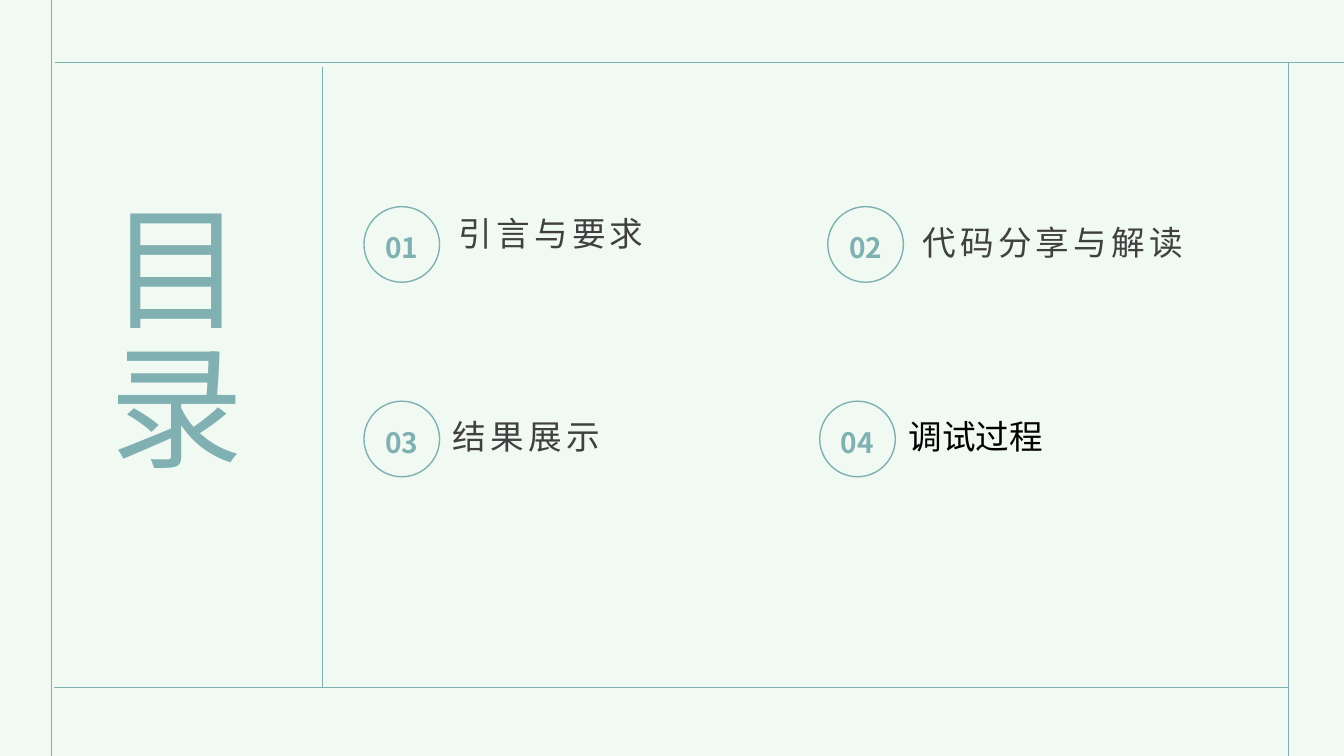
from lxml.etree import SubElement
from pptx import Presentation
from pptx.dml.color import RGBColor
from pptx.enum.shapes import MSO_CONNECTOR, MSO_SHAPE
from pptx.enum.text import MSO_ANCHOR, MSO_AUTO_SIZE, PP_ALIGN
from pptx.oxml.ns import qn
from pptx.util import Inches, Pt

MINT = RGBColor(0xF1, 0xF9, 0xF3)
TEAL = RGBColor(0x80, 0xB0, 0xB2)
GREY = RGBColor(0x40, 0x40, 0x40)
BLACK = RGBColor(0, 0, 0)
NOTO = "Noto Sans CJK SC"


def write(sp, text, size, color, font=NOTO, bold=False, align=PP_ALIGN.LEFT,
          leading=1.2, spacing=0):
    """Fill a shape with one middle-anchored run; spacing is in points."""
    tf = sp.text_frame
    tf.word_wrap = True
    tf.auto_size = MSO_AUTO_SIZE.NONE
    tf.vertical_anchor = MSO_ANCHOR.MIDDLE
    tf.margin_left = tf.margin_right = tf.margin_top = tf.margin_bottom = 0
    p = tf.paragraphs[0]
    p.alignment = align
    p.line_spacing = leading
    r = p.add_run()
    r.text = text
    r.font.size = Pt(size)
    r.font.bold = bold
    r.font.color.rgb = color
    r.font.name = font
    rPr = r.font._element
    rPr.set("spc", str(spacing * 100))
    SubElement(rPr, qn("a:ea")).set("typeface", font)


prs = Presentation()
prs.slide_width, prs.slide_height = Inches(13.33), Inches(7.5)
slide = prs.slides.add_slide(prs.slide_layouts[5])
slide.background.fill.solid()
slide.background.fill.fore_color.rgb = MINT

# Frame lines: x1, y1, x2, y2
for ends in [
    (12.78, 0.63, 12.78, 7.5),
    (0.54, 6.82, 12.77, 6.82),
    (3.2, 6.82, 3.2, 0.66),
    (0.51, 0, 0.51, 7.5),
    (0.55, 0.62, 13.33, 0.62),
]:
    line = slide.shapes.add_connector(MSO_CONNECTOR.STRAIGHT, *map(Inches, ends))
    line.line.color.rgb = TEAL
    line.line.width = Pt(0.5)
    SubElement(line._element.spPr, qn("a:effectLst"))

title = slide.shapes.title
title.left, title.top = Inches(0.6), Inches(1.99)
title.width, title.height = Inches(2.53), Inches(3.09)
write(title, "目录", 96, TEAL, align=PP_ALIGN.CENTER, spacing=3)
title.text_frame._txBody.bodyPr.set("vert", "eaVert")

# Contents: circle x, circle y, label x, label y, label, label format
noted = dict(color=GREY, spacing=3)
plain = dict(color=BLACK, font="Roboto")
entries = [
    (3.61, 2.05, 4.55, 1.6, "引言与要求", noted),
    (8.21, 2.05, 9.15, 1.69, "代码分享与解读", noted),
    (3.61, 3.98, 4.49, 3.62, "结果展示", noted),
    (8.13, 3.98, 9.01, 3.62, "调试过程", plain),
]
for number, (cx, cy, x, y, label, style) in enumerate(entries, 1):
    circle = slide.shapes.add_shape(MSO_SHAPE.OVAL, Inches(cx), Inches(cy),
                                    Inches(0.75), Inches(0.75))
    circle.shadow.inherit = False
    circle.fill.background()
    circle.line.color.rgb = TEAL
    circle.line.width = Pt(1)
    write(circle, f"{number:02}", 20, TEAL, bold=True, align=PP_ALIGN.CENTER)
    box = slide.shapes.add_textbox(Inches(x), Inches(y), Inches(3.18), Inches(1.47))
    write(box, label, 24, leading=0.9, **style)

prs.save("out.pptx")
